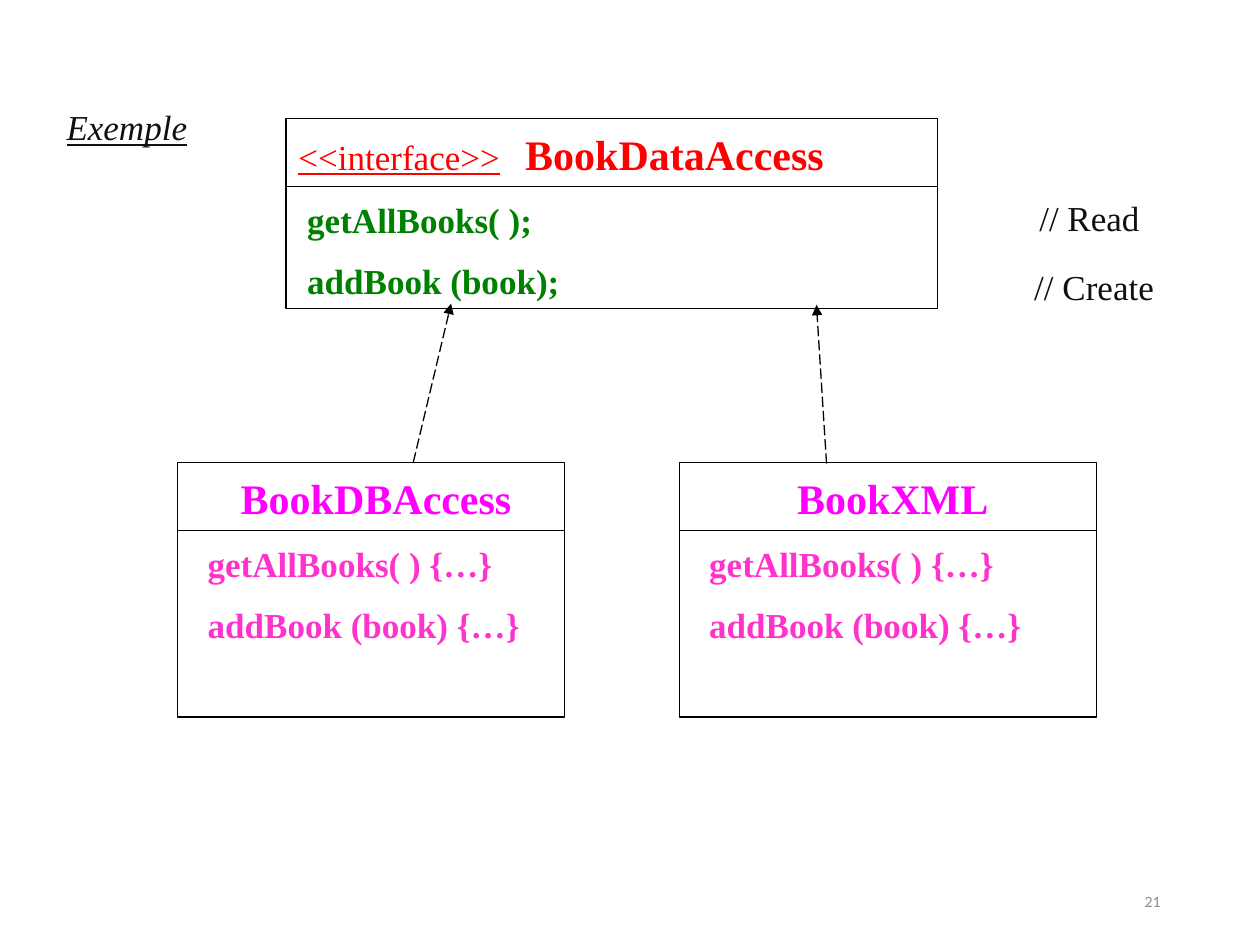
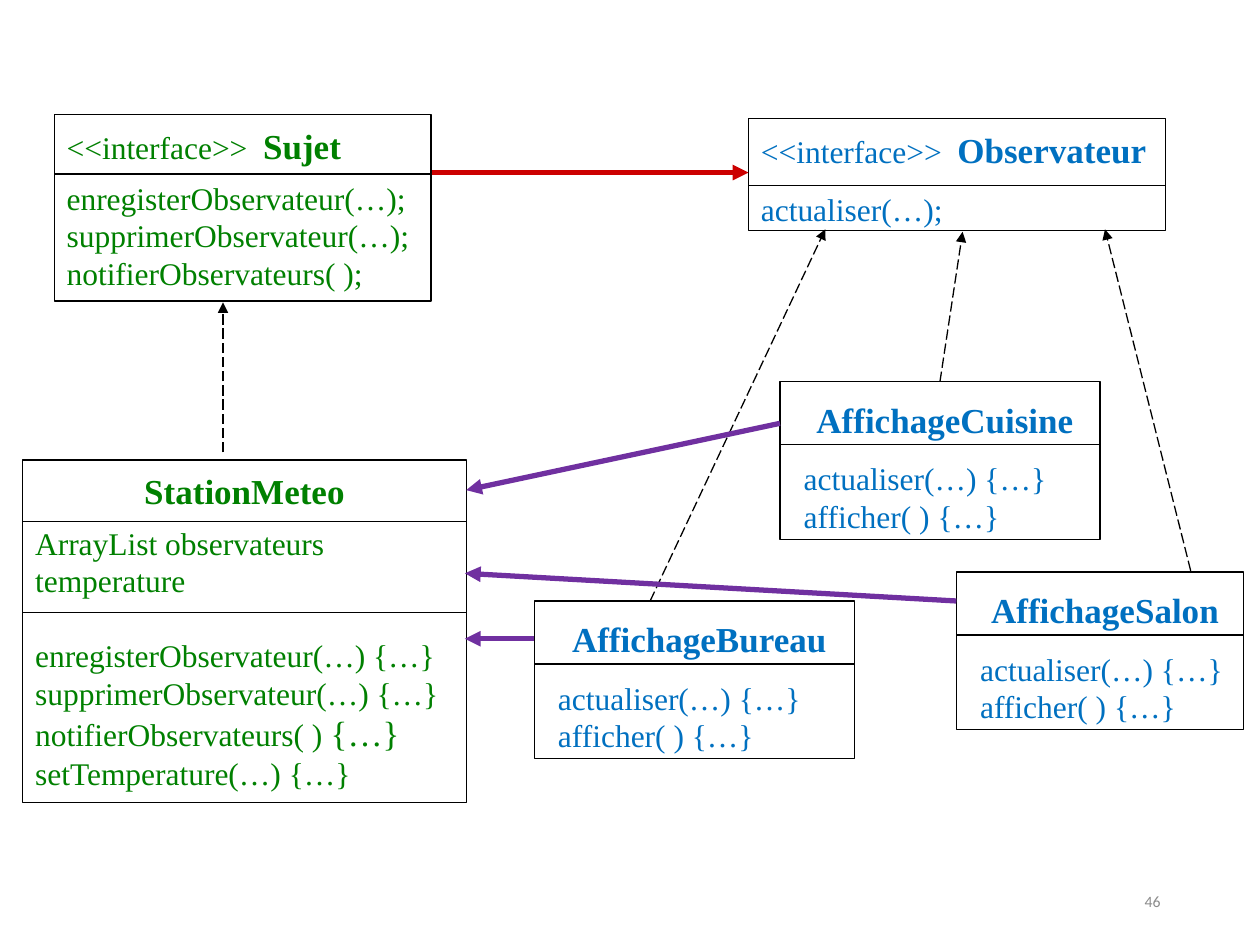
from lxml.etree import SubElement
from pptx import Presentation
from pptx.dml.color import RGBColor
from pptx.enum.dml import MSO_LINE
from pptx.enum.shapes import MSO_CONNECTOR, MSO_SHAPE
from pptx.enum.text import MSO_ANCHOR, PP_ALIGN
from pptx.oxml.ns import qn
from pptx.util import Inches, Pt

COLORS = {
    "black": "000000", "ink": "101010", "grey": "8C8C8C", "red": "FF0000",
    "green": "008000", "magenta": "FF00FF", "pink": "FF33CC", "blue": "0070C0",
    "crimson": "CC0000", "purple": "7030A0",
}
SERIF = "Times New Roman"
GAP = 11  # points above a class's member list

prs = Presentation()
prs.slide_width, prs.slide_height = Inches(10), Inches(7.5)
CELL = prs.slide_width / 100  # square grid: 100 columns by 75 rows


def cells(*values):
    return [round(v * CELL) for v in values]


def add_line(s, start, end, color="black", width=0.75, dash=None, arrow=False):
    line = s.shapes.add_connector(MSO_CONNECTOR.STRAIGHT, *cells(*start, *end))
    line.line.color.rgb = RGBColor.from_string(COLORS[color])
    line.line.width = Pt(width)
    if dash:
        line.line.dash_style = dash
    if arrow:
        SubElement(line.line._get_or_add_ln(), qn("a:tailEnd"), type="triangle")
    SubElement(line._element.spPr, qn("a:effectLst"))


# Class: box, divider rows, top inset, stereotype tab, heading indent,
# heading (text, size, colour), members (text, space before, line spacing),
# member size, colour, bold, indent
book_members = [("getAllBooks( ) {…}", GAP, 1), ("addBook (book) {…}", GAP, 1)]
display_members = [("actualiser(…) {…}", GAP, 1), ("afficher( ) {…}", 0, 1)]

book_classes = [
    ((22.7, 9.4, 51.7, 15.1), [14.8], 0.8, 18, 0, ("BookDataAccess", 24, "red"),
     [("getAllBooks( );", GAP, 1), ("addBook (book);", GAP, 1)],
     20, "green", True, 0.7),
]
for left, width, name in [(14.1, 30.7, "BookDBAccess"), (53.9, 33.1, "BookXML")]:
    book_classes.append(
        ((left, 36.7, width, 20.2), [42.1], 0.8, None, 0.8,
         (name, 24, "magenta"), book_members, 20, "pink", True, 1.4))

weather_classes = [
    ((4.3, 9.1, 29.9, 14.8), [13.8], 0.8, 15.6, 0, ("Sujet", 20, "green"),
     [("enregisterObservateur(…);", GAP, 0.8), ("supprimerObservateur(…);", 0, 1),
      ("notifierObservateurs( );", 0, 1)], 18, "green", False, 0),
    ((59.4, 9.4, 33.1, 8.9), [14.7], 0.8, 15.6, 0, ("Observateur", 20, "blue"),
     [("actualiser(…);", GAP, 1)], 18, "blue", False, 0),
    ((1.8, 36.5, 35.2, 27.2), [41.4, 48.6], 0.8, None, 0,
     ("StationMeteo", 20, "green"),
     [("ArrayList observateurs", GAP, 0.8), ("temperature", 0, 1),
      ("enregisterObservateur(…) {…}", 21, 1),
      ("supprimerObservateur(…) {…}", 0, 1),
      ("notifierObservateurs( ) |{…}", 0, 1),  # the part after | is larger
      ("setTemperature(…) {…}", 0, 1)], 18, "green", False, 0),
]
for left, top, width, name in [(75.9, 45.4, 22.8, "AffichageSalon"),
                               (61.9, 30.3, 25.4, "AffichageCuisine"),
                               (42.4, 47.7, 25.4, "AffichageBureau")]:
    weather_classes.append(
        ((left, top, width, 12.5), [top + 5], 1.3, None, 0.8,
         (name, 20, "blue"), display_members, 18, "blue", False, 0.9))

# Arrow: start, end
book_implements = [((32.8, 36.7), (35.8, 24.1)), ((65.6, 36.8), (64.8, 24.2))]
weather_implements = [
    ((51.6, 47.7), (65.5, 18.2)), ((74.6, 30.3), (76.4, 18.4)),
    ((94.5, 45.3), (87.7, 18.2)), ((17.7, 35.9), (17.7, 24)),
]
weather_uses = [
    ((34.3, 13.7), (59.4, 13.7), "crimson"),
    ((61.9, 33.6), (37, 38.9), "purple"),
    ((42.4, 50.7), (36.9, 50.7), "purple"),
    ((75.9, 47.7), (36.9, 45.5), "purple"),
]

# Label: box, text, size, font, colour, emphasised
book_labels = [
    ((4.3, 7.9, 15, 4.4), "Exemple", 20, SERIF, "ink", True),
    ((81.5, 15.1, 14.2, 4.4), "// Read", 20, SERIF, "ink", False),
    ((81.1, 20.6, 14.2, 4.4), "// Create", 20, SERIF, "ink", False),
]

slides = [
    ("21", book_classes, book_implements, [], book_labels),
    ("46", weather_classes, weather_implements, weather_uses, []),
]

for number, classes, implements, uses, labels in slides:
    s = prs.slides.add_slide(prs.slide_layouts[6])

    for (box, dividers, inset, tab, shift, (name, name_size, name_color),
         members, size, color, bold, indent) in classes:
        sp = s.shapes.add_shape(MSO_SHAPE.RECTANGLE, *cells(*box))
        sp.shadow.inherit = False
        sp.fill.background()
        sp.line.color.rgb = RGBColor.from_string(COLORS["black"])
        sp.line.width = Pt(0.75)
        tf = sp.text_frame
        tf.word_wrap = True
        tf.vertical_anchor = MSO_ANCHOR.TOP
        tf.margin_top = cells(inset)[0]

        p = tf.paragraphs[0]
        pPr = p._p.get_or_add_pPr()
        pPr.set("marL", str(cells(shift)[0]))
        p.alignment = PP_ALIGN.LEFT if tab else PP_ALIGN.CENTER
        runs = [(name, name_size, name_color, True, False)]
        if tab:
            tabs = SubElement(pPr, qn("a:tabLst"))
            SubElement(tabs, qn("a:tab"), pos=str(cells(tab)[0]), algn="l")
            stereotype_size = 20 if name_size == 24 else 18
            runs.insert(0, ("<<interface>>\t", stereotype_size, name_color,
                            False, name_size == 24))
        paragraphs = [(p, runs)]

        for text, before, spacing in members:
            p = tf.add_paragraph()
            p._p.get_or_add_pPr().set("marL", str(cells(indent)[0]))
            p.alignment = PP_ALIGN.LEFT
            p.space_before = Pt(before)
            p.line_spacing = spacing
            paragraphs.append((p, [(part, size + 2 * i, color, bold, False)
                                   for i, part in enumerate(text.split("|"))]))

        for p, runs in paragraphs:
            for text, run_size, run_color, run_bold, underline in runs:
                r = p.add_run()
                r.text = text
                r.font.name = SERIF
                r.font.size = Pt(run_size)
                r.font.bold = run_bold
                r.font.underline = underline
                r.font.color.rgb = RGBColor.from_string(COLORS[run_color])

        for row in dividers:
            add_line(s, (box[0], row), (box[0] + box[2], row))

    for start, end in implements:
        add_line(s, start, end, dash=MSO_LINE.LONG_DASH, arrow=True)
    for start, end, color in uses:
        add_line(s, start, end, color, width=3, arrow=True)

    page_number = ((70.6, 69.5, 22.5, 4), number, 9, "Calibri", "grey", False)
    for box, text, size, font, color, emphasised in labels + [page_number]:
        tf = s.shapes.add_textbox(*cells(*box)).text_frame
        tf.word_wrap = True
        tf.text = text
        p = tf.paragraphs[0]
        if text == number:
            tf.vertical_anchor = MSO_ANCHOR.MIDDLE
            p.alignment = PP_ALIGN.RIGHT
        r = p.runs[0]
        r.font.name = font
        r.font.size = Pt(size)
        r.font.italic = r.font.underline = emphasised
        r.font.color.rgb = RGBColor.from_string(COLORS[color])

prs.save("out.pptx")
